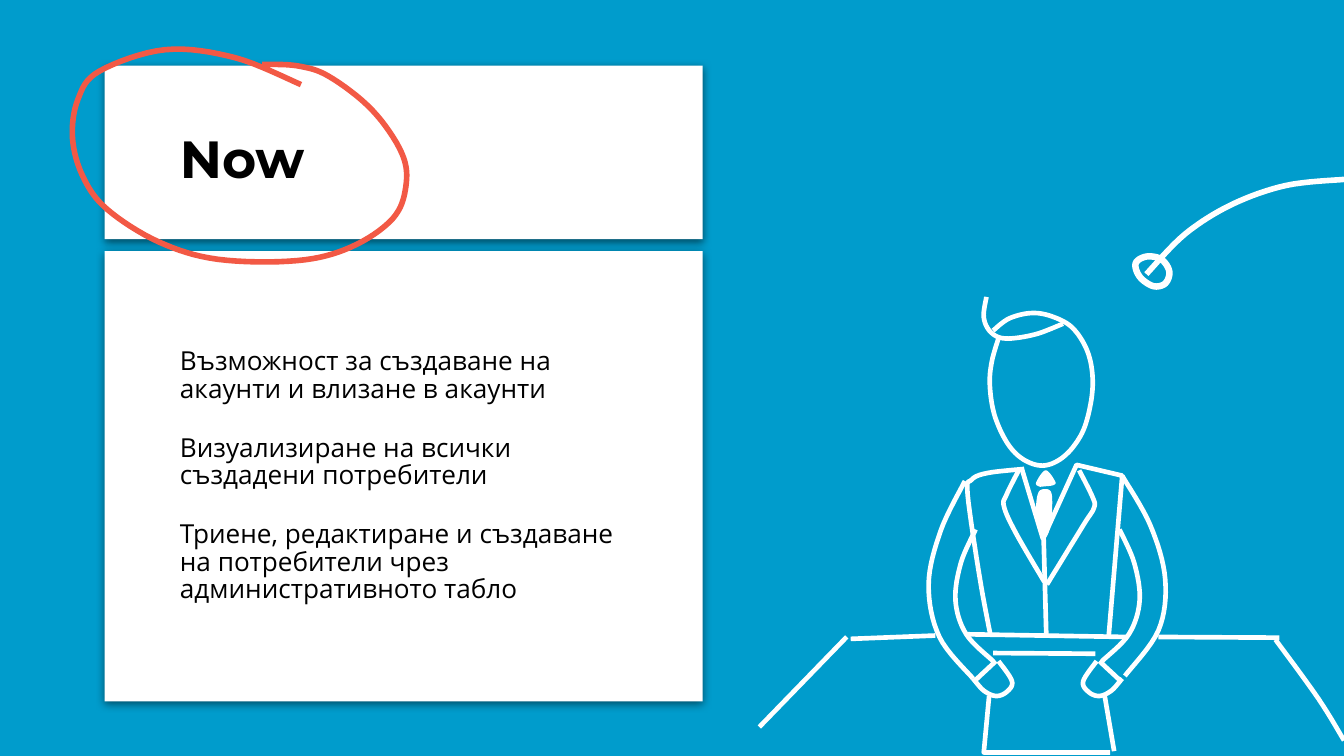
from dataclasses import dataclass

from lxml import etree
from pptx import Presentation
from pptx import util as u
from pptx.dml.color import RGBColor
from pptx.enum import shapes, text
from pptx.oxml import ns


@dataclass(frozen=True)
class Theme:
    sky: str = "009CCC"
    paper: str = "FFFFFF"
    ink: str = "000000"
    marker: str = "F25945"
    title_font: str = "Montserrat"
    body_font: str = "Open Sans"
    title_size: float = 28
    body_size: float = 14
    body_leading: float = 0.88
    body_gap: float = 16.8


THEME = Theme()
SKETCH_UNIT = 0.0254  # cm; sketch points are hundredths of an inch
MIRROR_SUM = 1559  # left x plus right x of a mirrored pair
CURVE_STEPS = 8

GOALS = [
    "Възможност за създаване на акаунти и влизане в акаунти",
    "Визуализиране на всички създадени потребители",
    "Триене, редактиране и създаване на потребители чрез административното табло",
]

HEAD = [(739, 246), (751, 237), (768, 233), (784, 236), (799, 245), (810, 264),
        (813, 288), (808, 315), (799, 332), (787, 343), (774, 346.5), (760, 341),
        (749, 329), (740, 309), (736.5, 287), (738, 269), (743.5, 250)]
HAIR = [(734, 221), (732, 236), (737, 247), (748, 252), (770, 249), (791, 241)]
LEFT_JACKET = [(762, 349), (735, 352), (723, 357), (720, 368), (729, 430), (737, 473)]
LEFT_LAPEL = [(758, 350), (749, 368), (747, 377), (756, 397), (777, 433)]
RIGHT_LAPEL = [(803, 350), (813, 370), (814, 378), (806, 391), (779, 435)]
LEFT_ARM = [(718, 358), (700, 395), (691, 435), (699, 474), (724, 505)]
RIGHT_ARM = [(835, 354), (856, 391), (867, 431), (862, 469), (837, 503)]
INNER_ARM = [(726, 394), (715, 419), (711, 447), (719, 472), (739, 492)]
CUFF = [(741, 492), (726, 506)]
HAND = [(743, 492), (753, 507), (749, 515), (741, 518), (732, 514), (724, 505)]
TABLE_RIGHT_EDGE = [(949, 476), (981, 520), (1000, 551)]

COLLAR_AND_JACKET = [(760, 348), (776, 401), (801, 346), (835, 354), (825, 473)]
STRAIGHT_LINES = [
    COLLAR_AND_JACKET,
    [(776.5, 400), (778.5, 473)],  # jacket front
    [(862, 474), (952, 474.5)],  # table top, from right to left
    [(719, 472), (838, 474)],
    [(633, 475.5), (696, 473)],
    [(565, 541), (630, 474)],
    [(739, 486), (815, 486.5)],  # sheet in the hands
    [(736, 518), (732, 560), (826, 560)],
    [(822, 518), (829, 559)],
]
TIE_KNOT = [(778, 350), (785, 358), (784, 361), (777, 362), (773, 362), (771, 359)]
TIE_BLADE = [(778, 364), (782, 366), (783, 374), (782, 390), (779, 399), (776, 400),
             (772, 390), (771, 376), (773, 366)]

LAMP_ARM = [(853, 204), (882, 174), (917, 152), (957, 138), (1000, 133.5)]
LAMP_HEAD = [(848, 206), (845, 196), (853, 191), (864, 193), (870, 202), (867, 211),
             (858, 213)]
MARKER_LOOP = [(224, 63), (175, 43), (123, 37), (74, 53), (58, 74), (54, 103),
               (62, 132), (80, 156), (118, 180), (162, 193), (221, 194), (261, 184),
               (292, 163), (302, 139), (299, 114), (277, 82), (245, 57), (221, 49),
               (195, 48)]


def color(code):
    return RGBColor.from_string(code)


def mirror(points):
    return [(MIRROR_SUM - x, y) for x, y in points]


def smooth(points, closed=False):
    """Return a Catmull-Rom curve through the points."""
    if closed:
        padded = [points[-1], *points, points[0], points[1]]
    else:
        padded = [points[0], *points, points[-1]]
    curve = [padded[1]]
    for a, b, c, d in zip(padded, padded[1:], padded[2:], padded[3:]):
        for step in range(1, CURVE_STEPS + 1):
            t = step / CURVE_STEPS
            curve.append(tuple(
                (2 * q + (r - p) * t + (2 * p - 5 * q + 4 * r - s) * t ** 2
                 + (3 * q - p - 3 * r + s) * t ** 3) / 2
                for p, q, r, s in zip(a, b, c, d)))
    return curve


def add_outline(canvas, points, closed=False):
    start, *rest = [(u.Cm(x * SKETCH_UNIT), u.Cm(y * SKETCH_UNIT)) for x, y in points]
    builder = canvas.build_freeform(*start)
    builder.add_line_segments(rest, close=closed)
    shape = builder.convert_to_shape()
    shape.shadow.inherit = False
    return shape


def add_stroke(canvas, points, width=2.5, ink=THEME.paper, closed=False):
    shape = add_outline(canvas, points, closed)
    shape.fill.background()
    shape.line.color.rgb = color(ink)
    shape.line.width = u.Pt(width)


def add_solid(canvas, points):
    shape = add_outline(canvas, points, closed=True)
    shape.fill.solid()
    shape.fill.fore_color.rgb = color(THEME.paper)
    shape.line.fill.background()


def add_card(page, top, height):
    """Add a white card with a soft shadow, behind the placeholders."""
    card = page.shapes.add_shape(shapes.MSO_SHAPE.ROUNDED_RECTANGLE,
                                 u.Cm(1.98), u.Cm(top), u.Cm(11.3), u.Cm(height))
    card.adjustments[0] = 0
    card.fill.solid()
    card.fill.fore_color.rgb = color(THEME.paper)
    card.line.fill.background()
    card.shadow.inherit = False
    effects = card._element.spPr.find(ns.qn("a:effectLst"))
    shadow = etree.SubElement(effects, ns.qn("a:outerShdw"), blurRad=str(u.Pt(4.5)),
                              dist=str(u.Pt(1.5)), dir="5400000", algn="bl",
                              rotWithShape="0")
    tint = etree.SubElement(shadow, ns.qn("a:srgbClr"), val=THEME.ink)
    etree.SubElement(tint, ns.qn("a:alpha"), val="50000")
    page.shapes.title._element.addprevious(card._element)


def fill_placeholder(box, top, height, lines, font, size, bold=False, leading=1.0, gap=0):
    box.left, box.top, box.width, box.height = map(u.Cm, (3.15, top, 8.97, height))
    frame = box.text_frame
    frame.word_wrap = True
    frame.auto_size = text.MSO_AUTO_SIZE.NONE
    frame.vertical_anchor = text.MSO_ANCHOR.MIDDLE
    frame.margin_left = frame.margin_right = u.Cm(0.25)
    frame.margin_top = frame.margin_bottom = u.Cm(0.25)
    for number, line in enumerate(lines):
        para = frame.add_paragraph() if number else frame.paragraphs[0]
        para.alignment = text.PP_ALIGN.LEFT
        para.line_spacing = leading
        para.space_before = u.Pt(gap if number else 0)
        span = para.add_run()
        span.text = line
        span.font.name = font
        span.font.size = u.Pt(size)
        span.font.bold = bold
        span.font.color.rgb = color(THEME.ink)


def draw_presenter(page):
    canvas = page.shapes.add_group_shape().shapes
    curves = [HEAD, HAIR, LEFT_JACKET, LEFT_LAPEL, RIGHT_LAPEL, LEFT_ARM, RIGHT_ARM,
              TABLE_RIGHT_EDGE]
    for part in (INNER_ARM, CUFF, HAND):
        curves += [part, mirror(part)]
    for points in curves:
        add_stroke(canvas, smooth(points))
    for points in STRAIGHT_LINES:
        add_stroke(canvas, points)
    for points in (TIE_KNOT, TIE_BLADE):
        add_solid(canvas, smooth(points, closed=True))


def draw_lamp(page):
    canvas = page.shapes.add_group_shape().shapes
    add_stroke(canvas, smooth(LAMP_ARM), width=3)
    add_stroke(canvas, smooth(LAMP_HEAD, closed=True), width=3.5, closed=True)


def main():
    deck = Presentation()
    deck.slide_width, deck.slide_height = u.Cm(25.4), u.Cm(14.29)
    page = deck.slides.add_slide(deck.slide_layouts[0])
    page.background.fill.solid()
    page.background.fill.fore_color.rgb = color(THEME.sky)

    add_card(page, 4.75, 8.51)
    add_card(page, 1.24, 3.28)
    fill_placeholder(page.shapes.title, 2.18, 1.6, ["Now"],
                     THEME.title_font, THEME.title_size, bold=True)
    fill_placeholder(page.placeholders[1], 5.46, 7.09, GOALS, THEME.body_font,
                     THEME.body_size, leading=THEME.body_leading, gap=THEME.body_gap)
    draw_presenter(page)
    draw_lamp(page)
    add_stroke(page.shapes, smooth(MARKER_LOOP), width=3, ink=THEME.marker)
    deck.save("out.pptx")


if __name__ == "__main__":
    main()
